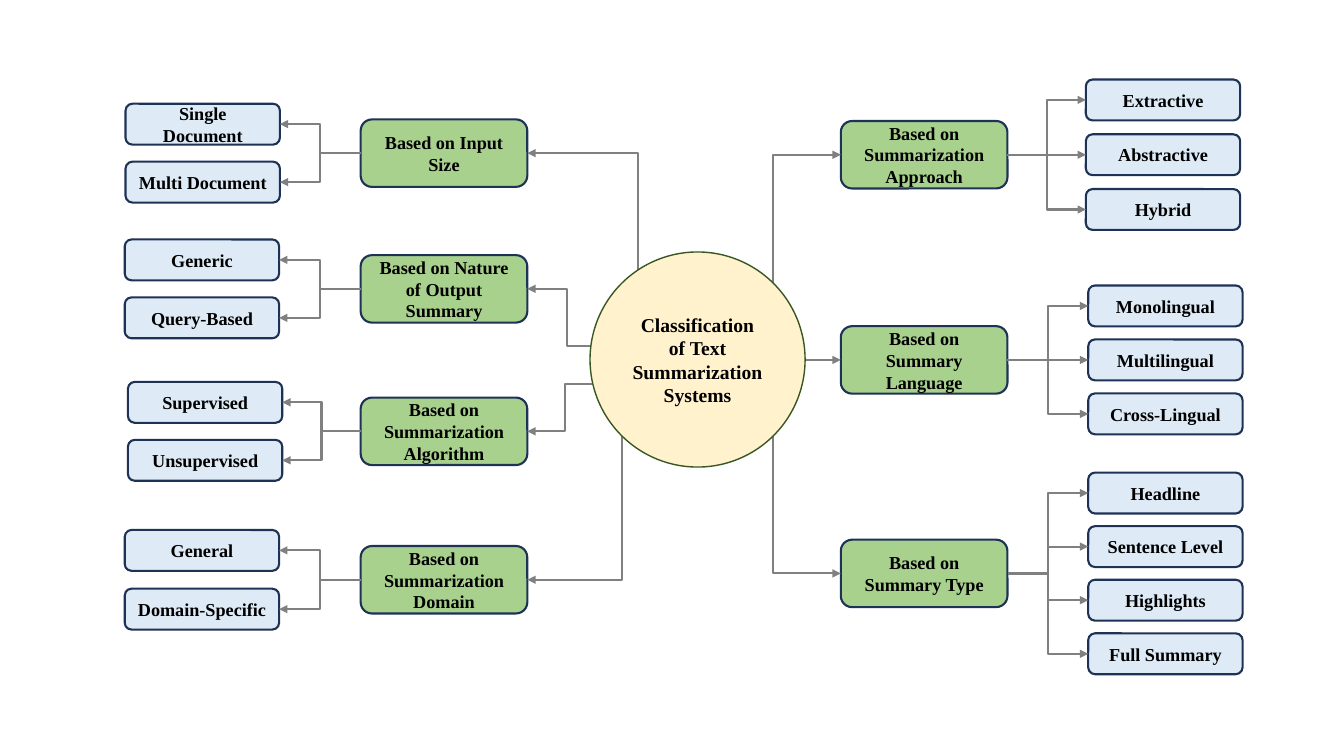
import pptx
import pptx.util
import pptx.dml.color
import pptx.enum.shapes
import pptx.enum.text
import pptx.oxml
import pptx.oxml.ns

Cm, Pt = pptx.util.Cm, pptx.util.Pt
SHAPE = pptx.enum.shapes.MSO_SHAPE
CONNECTOR = pptx.enum.shapes.MSO_CONNECTOR
LEFT_SIDE, RIGHT_SIDE = 1, 3

CATEGORY_SIZE = (4.2, 1.7)
TYPE_SIZE = (3.89, 1.03)
HUB_CENTRE, HUB_DIAMETER = (17.58, 9.06), 5.42
LEFT_CATEGORY_X, RIGHT_CATEGORY_X = 11.19, 23.29

# Category, centre y, start of its arrow on the hub, centre x and pitch of its types, types
LEFT_BRANCHES = [
    ("Based on Input Size", 3.86, (16.08, 7.37), 5.11, 1.46,
     ["Single Document", "Multi Document"]),
    ("Based on Nature of Output Summary", 7.28, (15.31, 8.73), 5.09, 1.46,
     ["Generic", "Query-Based"]),
    ("Based on Summarization Algorithm", 10.87, (15.21, 9.68), 5.17, 1.46,
     ["Supervised", "Unsupervised"]),
    ("Based on Summarization Domain", 14.61, (15.67, 10.97), 5.09, 1.48,
     ["General", "Domain-Specific"]),
]
RIGHT_BRANCHES = [
    ("Based on Summarization Approach", 3.9, (19.48, 7.15), 29.31, 1.38,
     ["Extractive", "Abstractive", "Hybrid"]),
    ("Based on Summary Language", 9.07, (20.29, 9.07), 29.37, 1.36,
     ["Monolingual", "Multilingual", "Cross-Lingual"]),
    ("Based on Summary Type", 14.45, (19.48, 10.97), 29.37, 1.35,
     ["Headline", "Sentence Level", "Highlights", "Full Summary"]),
]


def colour(hex_string):
    return pptx.dml.color.RGBColor.from_string(hex_string)


class Diagram:
    font = "Times New Roman"
    ink, outline, arrow_grey = "000000", "1E3256", "808080"
    category_fill, type_fill = "A9D18E", "DEEBF7"
    hub_fill, hub_outline = "FFF2CC", "385723"

    def __init__(self, slide):
        self.slide = slide

    def node(self, kind, centre, size, text, fill, outline, weight=1.5, points=13):
        (x, y), (width, height) = centre, size
        node = self.slide.shapes.add_shape(
            kind, Cm(x - width / 2), Cm(y - height / 2), Cm(width), Cm(height))
        node.shadow.inherit = False
        node.fill.solid()
        node.fill.fore_color.rgb = colour(fill)
        node.line.color.rgb = colour(outline)
        node.line.width = Pt(weight)
        frame = node.text_frame
        frame.text = text
        frame.word_wrap = True
        frame.vertical_anchor = pptx.enum.text.MSO_ANCHOR.MIDDLE
        for paragraph in frame.paragraphs:
            paragraph.alignment = pptx.enum.text.PP_ALIGN.CENTER
            for run in paragraph.runs:
                run.font.name = self.font
                run.font.size = Pt(points)
                run.font.bold = True
                run.font.color.rgb = colour(self.ink)
        return node

    def category(self, centre, text):
        return self.node(SHAPE.ROUNDED_RECTANGLE, centre, CATEGORY_SIZE, text,
                         self.category_fill, self.outline)

    def summary_type(self, centre, text):
        return self.node(SHAPE.ROUNDED_RECTANGLE, centre, TYPE_SIZE, text,
                         self.type_fill, self.outline)

    def hub(self, text):
        return self.node(SHAPE.OVAL, HUB_CENTRE, (HUB_DIAMETER, HUB_DIAMETER), text,
                         self.hub_fill, self.hub_outline, weight=1, points=14)

    def arrow(self, start, end):
        kind = CONNECTOR.STRAIGHT if start[1] == end[1] else CONNECTOR.ELBOW
        arrow = self.slide.shapes.add_connector(
            kind, Cm(start[0]), Cm(start[1]), Cm(end[0]), Cm(end[1]))
        arrow.line.color.rgb = colour(self.arrow_grey)
        arrow.line.width = Pt(1.5)
        tail = pptx.oxml.parse_xml(
            f'<a:tailEnd {pptx.oxml.ns.nsdecls("a")} type="triangle"/>')
        arrow.line._get_or_add_ln().append(tail)
        arrow._element.spPr.append(pptx.oxml.parse_xml(
            f'<a:effectLst {pptx.oxml.ns.nsdecls("a")}/>'))
        return arrow

    def corner_arrow(self, start, end):
        """Arrow with one corner: vertical first, then horizontal."""
        arrow = self.arrow(start, end)
        across, along = end[0] - start[0], end[1] - start[1]
        width, height = abs(along), abs(across)
        arrow.left = Cm((start[0] + end[0] - width) / 2)
        arrow.top = Cm((start[1] + end[1] - height) / 2)
        arrow.width, arrow.height = Cm(width), Cm(height)
        properties = arrow._element.spPr
        properties.prstGeom.set("prst", "bentConnector2")
        frame = properties.xfrm
        frame.set("rot", str((90 if along > 0 else 270) * 60000))
        frame.set("flipH", "0")
        frame.set("flipV", "1" if (along > 0) == (across > 0) else "0")

    def branch(self, category_x, direction, name, y, hub_point, type_x, pitch, types):
        near, far = (LEFT_SIDE, RIGHT_SIDE) if direction > 0 else (RIGHT_SIDE, LEFT_SIDE)
        category = self.category((category_x, y), name)
        inner_x = category_x - direction * CATEGORY_SIZE[0] / 2
        outer_x = category_x + direction * CATEGORY_SIZE[0] / 2
        type_edge = type_x - direction * TYPE_SIZE[0] / 2

        # Category to its types, spread evenly about the category's centre
        for index, text in enumerate(types):
            type_y = y + (index - (len(types) - 1) / 2) * pitch
            summary_type = self.summary_type((type_x, type_y), text)
            arrow = self.arrow((outer_x, y), (type_edge, type_y))
            arrow.begin_connect(category, far)
            arrow.end_connect(summary_type, near)

        # Hub to category: straight, folded halfway, or with one corner
        rise = abs(hub_point[1] - HUB_CENTRE[1])
        if rise > HUB_DIAMETER / 4:
            self.corner_arrow(hub_point, (inner_x, y))
        else:
            self.arrow(hub_point, (inner_x, y)).end_connect(category, near)


def main():
    presentation = pptx.Presentation()
    presentation.slide_width, presentation.slide_height = Cm(33.87), Cm(19.05)
    diagram = Diagram(presentation.slides.add_slide(presentation.slide_layouts[6]))

    # Branches on both sides
    for branch in LEFT_BRANCHES:
        diagram.branch(LEFT_CATEGORY_X, -1, *branch)
    for branch in RIGHT_BRANCHES:
        diagram.branch(RIGHT_CATEGORY_X, 1, *branch)

    # Hub on top of the arrow starts
    diagram.hub("Classification\nof Text Summarization\nSystems")

    presentation.save("out.pptx")


if __name__ == "__main__":
    main()
